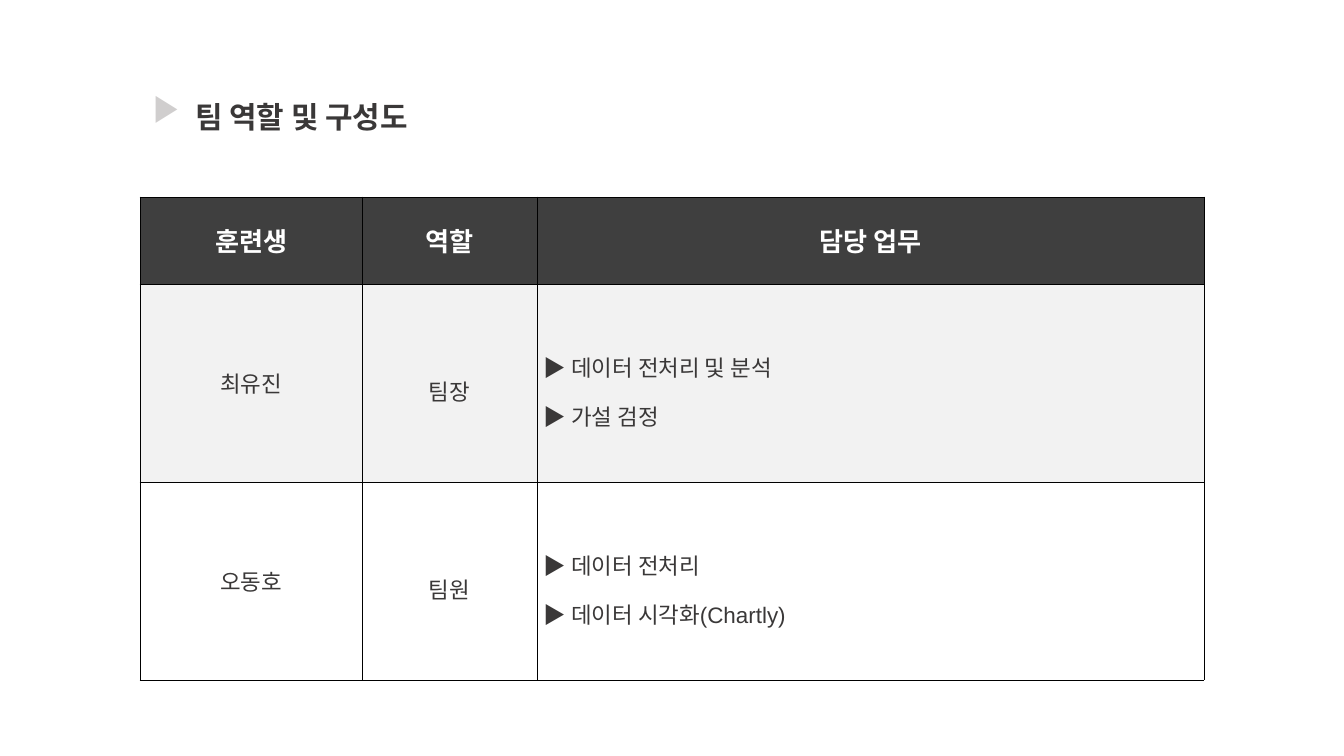
from lxml.etree import SubElement
from pptx import Presentation
from pptx.dml.color import RGBColor
from pptx.enum.text import MSO_ANCHOR, MSO_AUTO_SIZE, PP_ALIGN
from pptx.oxml.ns import qn
from pptx.util import Pt

# Content
TITLE = "팀 역할 및 구성도"
MARK = "▶"
HEAD = ("훈련생", "역할", "담당 업무")
TEAM = [
    ("최유진", "팀장", ("데이터 전처리 및 분석", "가설 검정")),
    ("오동호", "팀원", ("데이터 전처리", "데이터 시각화(Chartly)")),
]

# Layout in px
PX = 914400 / 67.2
SIZE = (1344, 756)
MARK_BOX = (147, 80, 37, 52)
TITLE_BOX = (179, 77, 750, 61)
INDENT = 16
LEFT, TOP = 140, 197
COLS = (222, 175, 667)
HEAD_H, ROW_H = 87, 198

# Colours and text formats
DARK = RGBColor(0x3F, 0x3F, 0x3F)
INK = RGBColor(0x3A, 0x38, 0x38)
PALE = RGBColor(0xF2, 0xF2, 0xF2)
GREY = RGBColor(0xD0, 0xCE, 0xCE)
WHITE = RGBColor(0xFF, 0xFF, 0xFF)
KOREAN = "Noto Sans CJK KR"
TITLE_FMT = {"name": "Arial", "size": Pt(32), "bold": True, "color": INK}
MARK_FMT = {**TITLE_FMT, "size": Pt(40), "color": GREY}
HEAD_FMT = {**TITLE_FMT, "name": KOREAN, "size": Pt(28), "color": WHITE}
BODY_FMT = {**TITLE_FMT, "size": Pt(24), "bold": False}
BULLET_FMT = {**BODY_FMT, "bold": True}


def emu(px):
    return round(px * PX)


def add_run(para, text, fmt, asian=True):
    run = para.add_run()
    run.text = text
    for key, val in fmt.items():
        if key == "color":
            run.font.color.rgb = val
        else:
            setattr(run.font, key, val)
    if asian:
        SubElement(run.font._element, qn("a:ea"), typeface=KOREAN)


def place(shape, box):
    for key, val in zip(("left", "top", "width", "height"), box):
        setattr(shape, key, emu(val))
    frame = shape.text_frame
    frame.word_wrap = True
    frame.auto_size = MSO_AUTO_SIZE.SHAPE_TO_FIT_TEXT
    frame.vertical_anchor = MSO_ANCHOR.TOP
    para = frame.paragraphs[0]
    para.alignment = PP_ALIGN.LEFT
    return frame, para


def add_edges(cell):
    props = cell._tc.get_or_add_tcPr()
    for i, side in enumerate(("lnL", "lnR", "lnT", "lnB")):
        line = props.makeelement(qn(f"a:{side}"), {"w": str(Pt(1))})
        fill = SubElement(line, qn("a:solidFill"))
        SubElement(fill, qn("a:srgbClr"), val="000000")
        props.insert(i, line)


def fill_cell(cell, item, fmt, back, space):
    cell.vertical_anchor = MSO_ANCHOR.MIDDLE
    if back is None:
        cell.fill.background()
    else:
        cell.fill.solid()
        cell.fill.fore_color.rgb = back
    add_edges(cell)
    frame = cell.text_frame
    tasks = isinstance(item, tuple)
    for i, text in enumerate(item if tasks else (item,)):
        para = frame.add_paragraph() if i else frame.paragraphs[0]
        para.alignment = PP_ALIGN.LEFT if tasks else PP_ALIGN.CENTER
        if space:
            para.line_spacing = space
        if tasks:
            add_run(para, MARK + " ", BULLET_FMT)
        add_run(para, text, fmt)


def main():
    deck = Presentation()
    deck.slide_width, deck.slide_height = map(emu, SIZE)
    slide = deck.slides.add_slide(deck.slide_layouts[5])

    # Title and its marker
    frame, para = place(slide.shapes.title, TITLE_BOX)
    frame.margin_left = emu(INDENT)
    para.line_spacing = 1.5
    add_run(para, TITLE, TITLE_FMT)
    box = slide.shapes.add_textbox(0, 0, 0, 0)
    frame, para = place(box, MARK_BOX)
    add_run(para, MARK, MARK_FMT, asian=False)

    # Team table
    rows = [HEAD, *TEAM]
    highs = [HEAD_H] + [ROW_H] * len(TEAM)
    area = map(emu, (LEFT, TOP, sum(COLS), sum(highs)))
    table = slide.shapes.add_table(len(rows), len(COLS), *area).table
    table.horz_banding = False
    for col, wide in zip(table.columns, COLS):
        col.width = emu(wide)
    for r, (row, high) in enumerate(zip(rows, highs)):
        table.rows[r].height = emu(high)
        fmt = BODY_FMT if r else HEAD_FMT
        back = (DARK, PALE, None)[r]
        for c, item in enumerate(row):
            space = 1.5 if r and c else None
            fill_cell(table.cell(r, c), item, fmt, back, space)

    deck.save("out.pptx")


if __name__ == "__main__":
    main()
